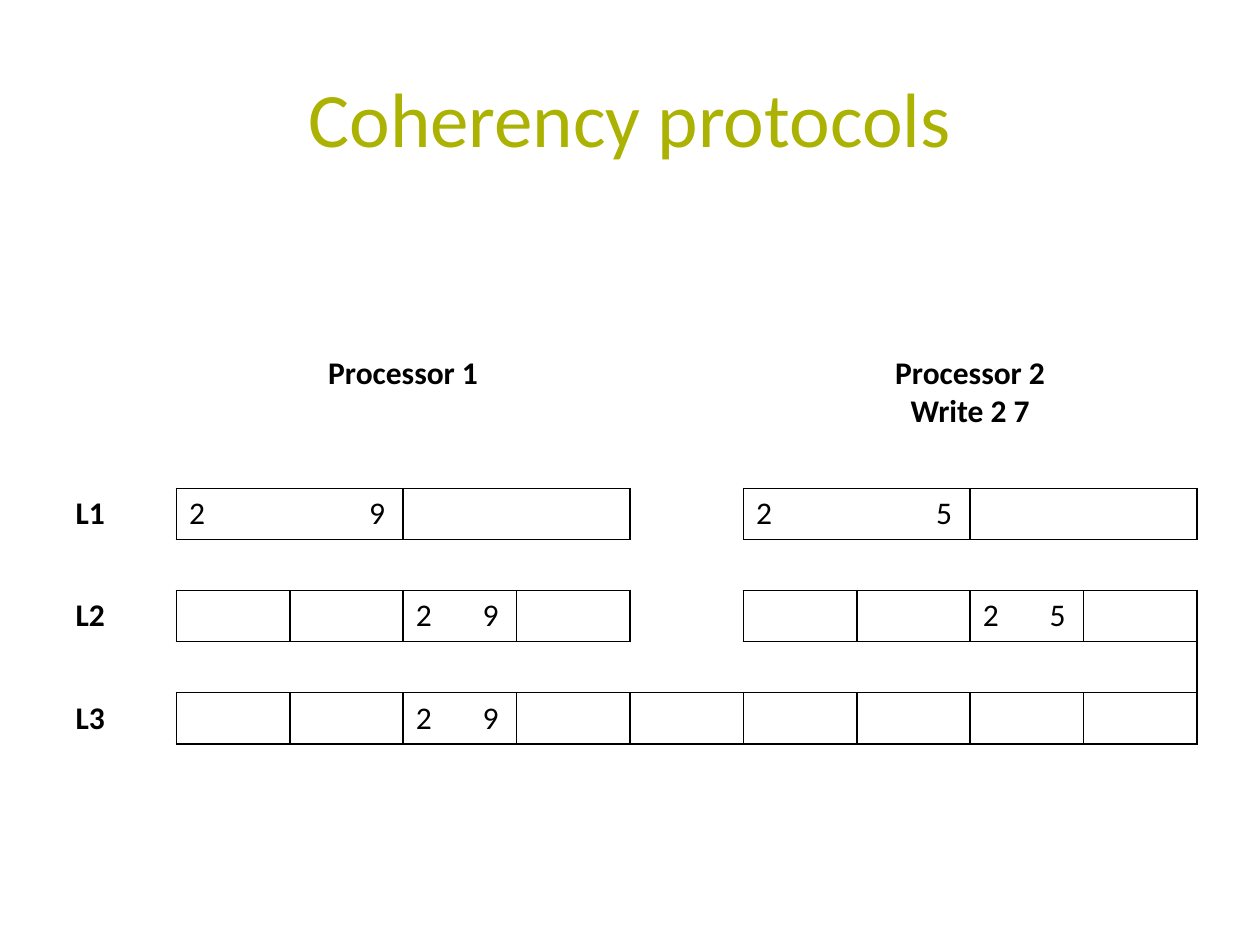
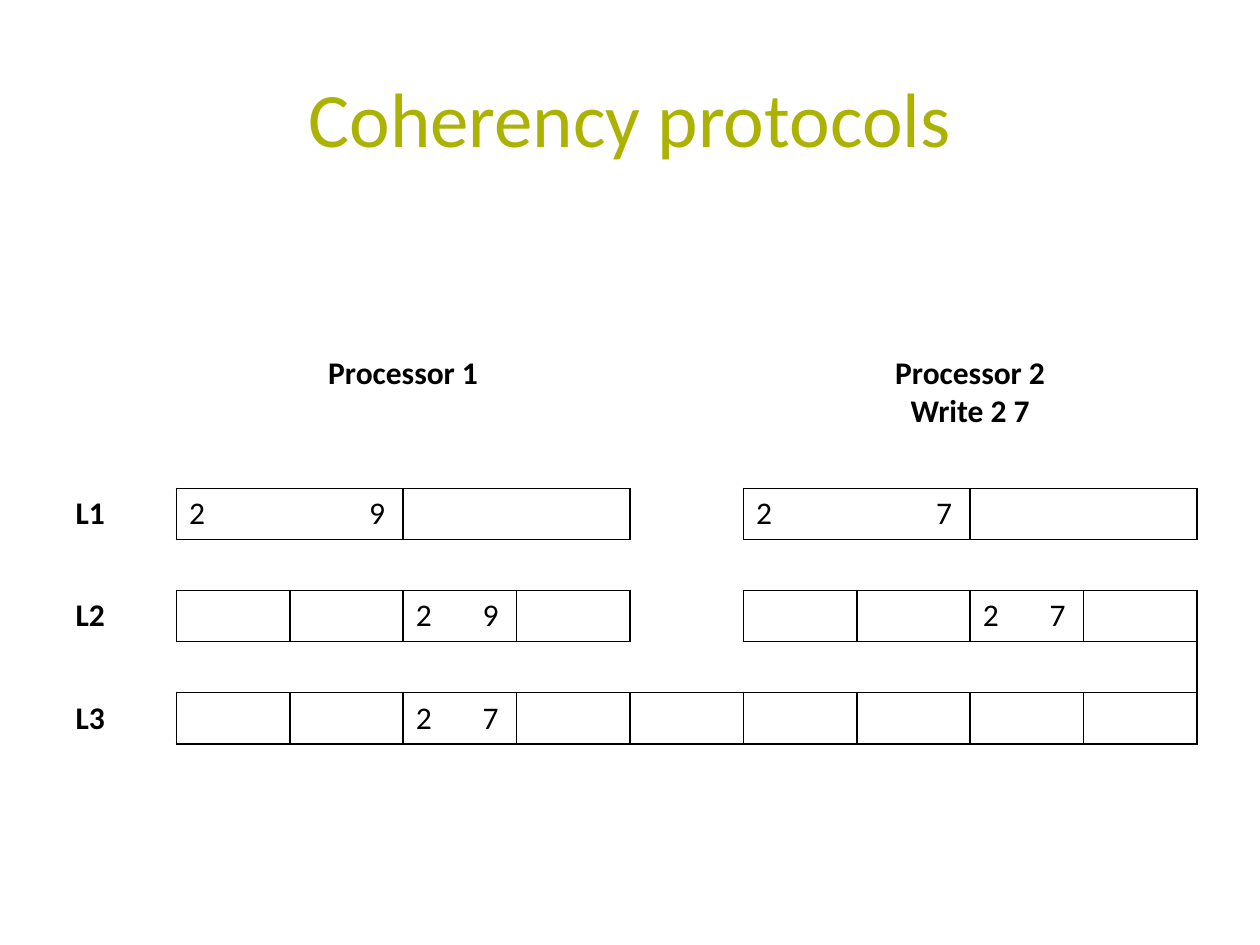
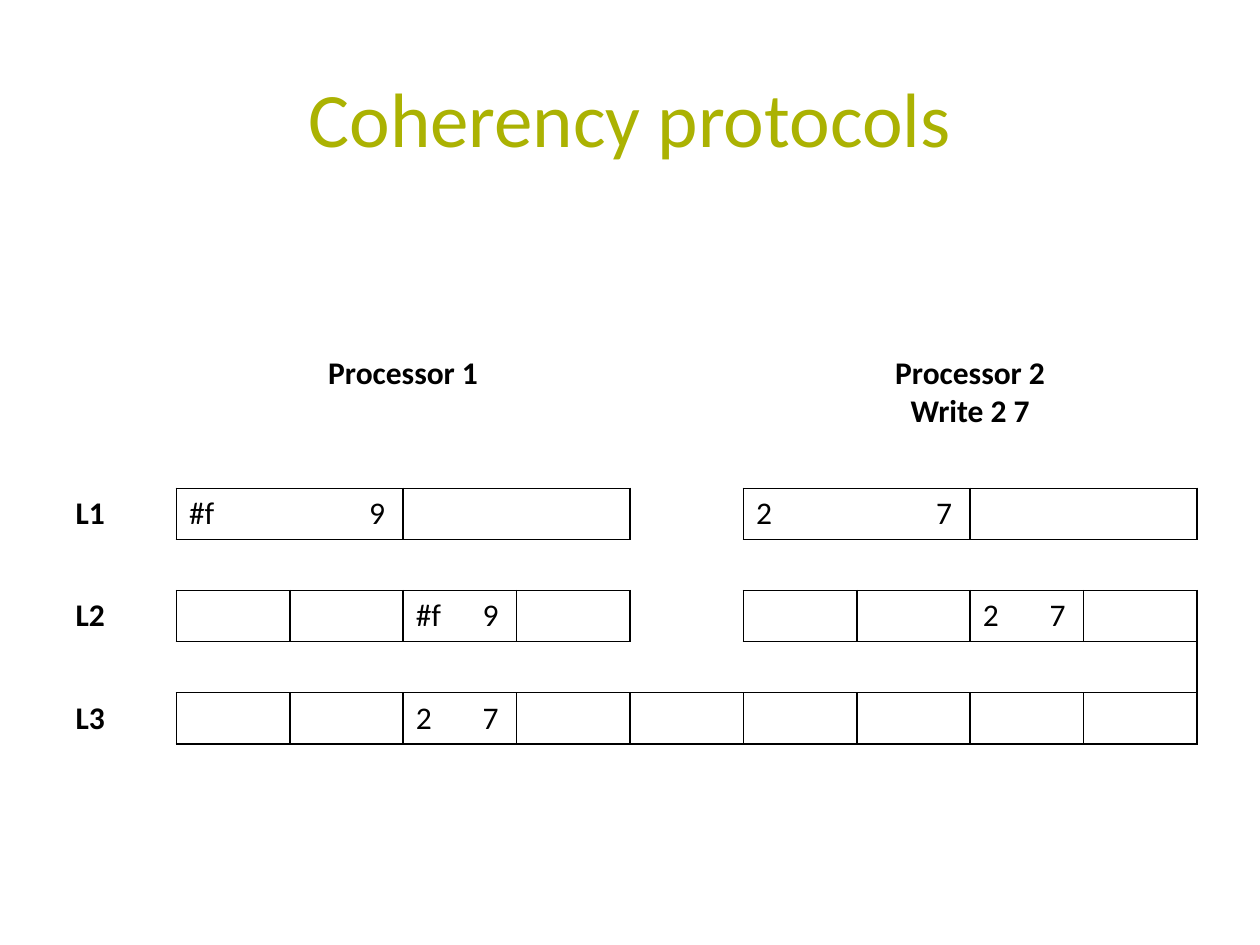
from lxml import etree
from pptx import Presentation
from pptx.dml.color import RGBColor
from pptx.enum.text import PP_ALIGN
from pptx.oxml.ns import qn
from pptx.util import Inches, Pt

CENTER, LEFT = PP_ALIGN.CENTER, PP_ALIGN.LEFT
OLIVE = RGBColor(0xAB, 0xB2, 0x02)
BLACK = RGBColor(0, 0, 0)
WHITE = RGBColor(255, 255, 255)
FONT = "Calibri"

COLS, COL_W = 10, 0.9
HEIGHTS = [0.7] + [0.4] * 6
L1, L2, L3 = 2, 4, 6
P1, P2 = 1, 6  # first column of each processor
WIDE_TAB, SLIM_TAB = 1.43, 0.53

# Cache lines as (row, column, columns covered)
WIDE = [(L1, start + step, 2) for start in (P1, P2) for step in (0, 2)]
SLIM = [(L2, start + step, 1) for start in (P1, P2) for step in range(4)]
SLIM += [(L3, col, 1) for col in range(1, COLS)]

# Contents per slide: Processor 1, Processor 2 and the shared L3, as (tag, value)
STATES = [
    (("2", "9"), ("2", "5"), ("2", "9")),
    (("2", "9"), ("2", "7"), ("2", "7")),
    (("#f", "9"), ("2", "7"), ("2", "7")),
]


def find_edges():
    """Return each (row, column, side) that carries a line, on both sides of it."""
    edges = {(L2 + 1, COLS - 1, "R")}  # link from L2 down to L3
    for row, col, span in WIDE + SLIM:
        last = col + span - 1
        for at in range(col, last + 1):
            edges |= {(row, at, "T"), (row, at, "B"),
                      (row - 1, at, "B"), (row + 1, at, "T")}
        edges |= {(row, col, "L"), (row, col - 1, "R"), (row, col, "R"),
                  (row, last, "R"), (row, last + 1, "L")}
    return edges


EDGES = find_edges()


def set_edges(cell, row, col):
    props = cell._tc.get_or_add_tcPr()
    for side in "LRTB":
        line = etree.SubElement(props, qn("a:ln" + side), w=str(Pt(1)))
        if (row, col, side) in EDGES:
            fill = etree.SubElement(line, qn("a:solidFill"))
            etree.SubElement(fill, qn("a:srgbClr"), val=str(BLACK))
        else:
            etree.SubElement(line, qn("a:noFill"))


def set_font(para, size, color, bold=False):
    font = para.font
    font.name, font.size, font.bold = FONT, Pt(size), bold
    font.color.rgb = color


def write(cell, text, bold=False, align=LEFT):
    cell.text_frame.text = text
    for para in cell.text_frame.paragraphs:
        para.alignment = align
        set_font(para, 18, BLACK, bold)


def write_pair(cell, pair, tab):
    """Write tag and value, the value at a tab stop."""
    write(cell, "\t".join(pair))
    props = cell.text_frame.paragraphs[0]._p.get_or_add_pPr()
    stops = etree.Element(qn("a:tabLst"))
    etree.SubElement(stops, qn("a:tab"), pos=str(Inches(tab)), algn="l")
    props.find(qn("a:defRPr")).addprevious(stops)


def add_grid(slide):
    frame = slide.shapes.add_table(
        len(HEIGHTS), COLS, Inches(0.5), Inches(2.76),
        Inches(COLS * COL_W), Inches(sum(HEIGHTS)))
    table = frame.table
    table.first_row = table.horz_banding = False
    for col in table.columns:
        col.width = Inches(COL_W)
    for row, height in enumerate(HEIGHTS):
        table.rows[row].height = Inches(height)
        for col in range(COLS):
            cell = table.cell(row, col)
            set_edges(cell, row, col)
            cell.fill.solid()
            cell.fill.fore_color.rgb = WHITE
            write(cell, "")
    for start in (P1, P2):
        table.cell(0, start).merge(table.cell(0, start + 3))
    for row, col, span in WIDE:
        for at in (row - 1, row):
            table.cell(at, col).merge(table.cell(at, col + span - 1))
    return table


def add_title(slide, text):
    title = slide.shapes.title
    title.left, title.top = Inches(0.5), Inches(0.3)
    title.width, title.height = Inches(9), Inches(1.25)
    title.text_frame.text = text
    para = title.text_frame.paragraphs[0]
    para.alignment = CENTER
    set_font(para, 44, OLIVE)


def add_slide(deck, first, second, shared):
    slide = deck.slides.add_slide(deck.slide_layouts[5])
    add_title(slide, "Coherency protocols")
    table = add_grid(slide)
    write(table.cell(0, P1), "Processor 1", True, CENTER)
    write(table.cell(0, P2), "Processor 2\nWrite 2 7", True, CENTER)
    for row, label in ((L1, "L1"), (L2, "L2"), (L3, "L3")):
        write(table.cell(row, 0), label, True)
    for start, pair in ((P1, first), (P2, second)):
        write_pair(table.cell(L1, start), pair, WIDE_TAB)
        write_pair(table.cell(L2, start + 2), pair, SLIM_TAB)
    write_pair(table.cell(L3, P1 + 2), shared, SLIM_TAB)


def main():
    deck = Presentation()
    deck.slide_width, deck.slide_height = Inches(10), Inches(7.5)
    for state in STATES:
        add_slide(deck, *state)
    deck.save("out.pptx")


if __name__ == "__main__":
    main()
